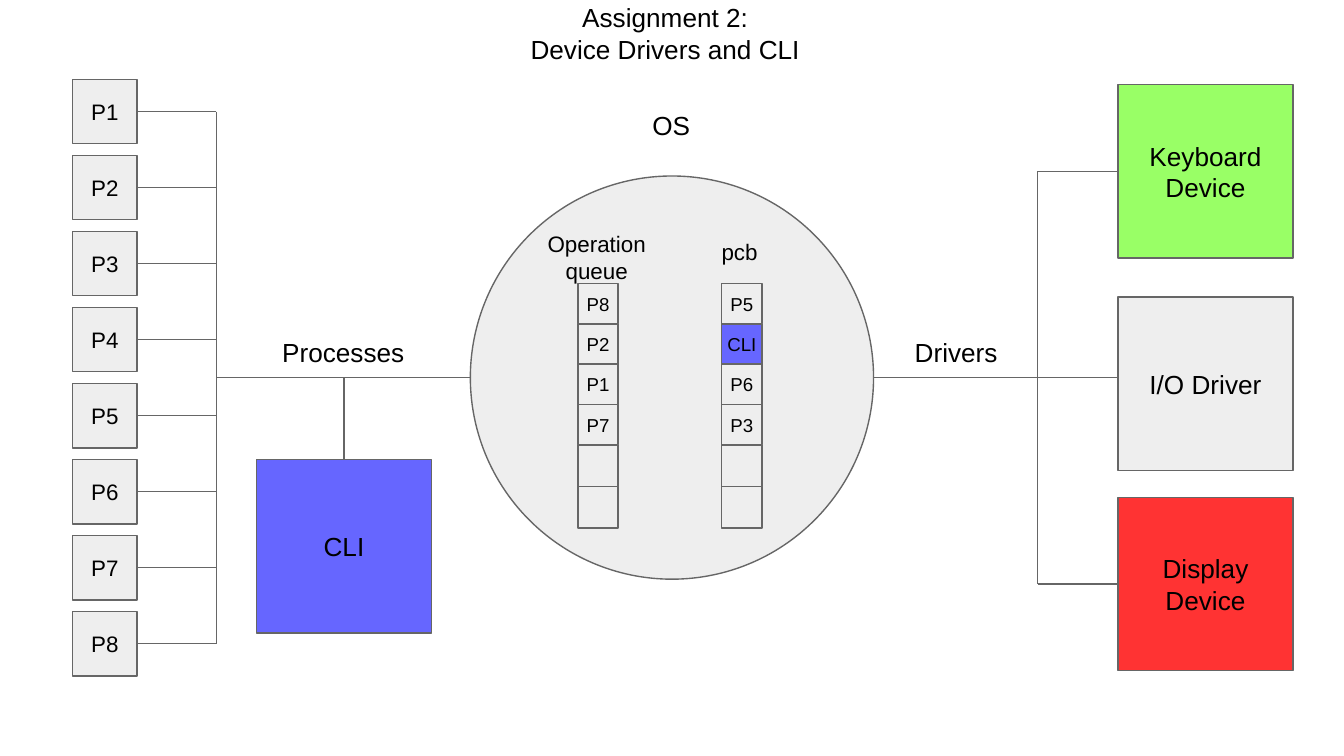
from itertools import accumulate

from lxml.etree import SubElement
from pptx import Presentation
from pptx.dml.color import RGBColor
from pptx.enum.shapes import MSO_CONNECTOR, MSO_SHAPE
from pptx.enum.text import MSO_ANCHOR, PP_ALIGN
from pptx.oxml.ns import qn
from pptx.util import Inches, Pt

GREY, BLUE, GREEN, RED = "EEEEEE", "6666FF", "99FF66", "FF3333"
LINE, BLACK = "666666", "000000"

prs = Presentation()
prs.slide_width = Inches(10)
prs.slide_height = prs.slide_width * 9 // 16
s = prs.slides.add_slide(prs.slide_layouts[6])


def add_text(text, x, y, w, h, kind=None, fill=GREY, size=14, inset=0.1,
             align=PP_ALIGN.CENTER, anchor=MSO_ANCHOR.MIDDLE):
    at = [Inches(v) for v in (x, y, w, h)]
    if kind is None:
        sp = s.shapes.add_textbox(*at)
    else:
        sp = s.shapes.add_shape(kind, *at)
        sp.shadow.inherit = False
        sp.fill.solid()
        sp.fill.fore_color.rgb = RGBColor.from_string(fill)
        sp.line.color.rgb = RGBColor.from_string(LINE)
        sp.line.width = Pt(0.75)
    tf = sp.text_frame
    tf.word_wrap = True
    tf.vertical_anchor = anchor
    tf.margin_left = tf.margin_right = tf.margin_top = tf.margin_bottom = Inches(inset)
    if text:
        tf.text = text
    for p in tf.paragraphs:
        p.alignment = align
        for r in p.runs:
            r.font.name = "Arial"
            r.font.size = Pt(size)
            r.font.color.rgb = RGBColor.from_string(BLACK)
    return sp


def add_line(x1, y1, x2, y2, begin=None, end=None):
    c = s.shapes.add_connector(MSO_CONNECTOR.STRAIGHT, *[Inches(v) for v in (x1, y1, x2, y2)])
    c.line.color.rgb = RGBColor.from_string(LINE)
    c.line.width = Pt(0.75)
    SubElement(c._element.spPr, qn("a:effectLst"))
    if begin:
        c.begin_connect(*begin)
    if end:
        c.end_connect(*end)


add_text("Assignment 2:\nDevice Drivers and CLI", 2.9, 0.09, 4.1, 0.31)
add_text("OS", 4.63, 0.68, 0.73, 0.5)
add_text("", 3.5, 1.31, 3, 3, kind=MSO_SHAPE.OVAL)

add_text("Operation\nqueue", 3.94, 1.61, 1, 0.57, size=12, anchor=MSO_ANCHOR.TOP)
add_text("pcb", 5.27, 1.67, 0.48, 0.37, size=12, align=PP_ALIGN.LEFT, anchor=MSO_ANCHOR.TOP)

heights = [0.3] * 4 + [0.31] * 2
tops = accumulate(heights[:-1], initial=2.11)
rows = list(zip(tops, heights))
queues = [(4.3, ["P8", "P2", "P1", "P7", "", ""]),
          (5.37, ["P5", "CLI", "P6", "P3", "", ""])]
for x, names in queues:
    for name, (y, h) in zip(names, rows):
        add_text(name, x, y, 0.3, h, kind=MSO_SHAPE.RECTANGLE, size=10, inset=0,
                 fill=BLUE if name == "CLI" else GREY)

side, first, last, process_bus, axis = 0.48, 0.59, 4.55, 1.61, 2.81
pitch = (last - first) / 7
for i in range(8):
    y = first + i * pitch
    sp = add_text(f"P{i + 1}", 0.54, y, side, side, kind=MSO_SHAPE.RECTANGLE, size=12, inset=0)
    mid = y + side / 2
    add_line(0.54 + side, mid, process_bus, mid, begin=(sp, 3))
add_line(process_bus, first + side / 2, process_bus, last + side / 2)
add_line(process_bus, axis, 3.5, axis)
add_text("Processes", 1.97, 2.53, 1.17, 0.18)

w, h = 1.3, 1.29
cli = add_text("CLI", 1.91, 3.42, w, h, kind=MSO_SHAPE.RECTANGLE, fill=BLUE)
add_line(1.91 + w / 2, 3.42, 1.91 + w / 2, axis, begin=(cli, 0))

driver_bus, device_x = 7.72, 8.32
add_text("I/O Driver", device_x, 2.21, w, h, kind=MSO_SHAPE.RECTANGLE)
add_line(6.5, axis, device_x, axis)
devices = [("Keyboard Device", 0.63, GREEN), ("Display Device", 3.7, RED)]
for name, y, fill in devices:
    sp = add_text(name, device_x, y, w, h, kind=MSO_SHAPE.RECTANGLE, fill=fill)
    add_line(driver_bus, y + h / 2, device_x, y + h / 2, end=(sp, 1))
add_line(driver_bus, 0.63 + h / 2, driver_bus, 3.7 + h / 2)
add_text("Drivers", 6.53, 2.53, 1.17, 0.18)

prs.save("out.pptx")
